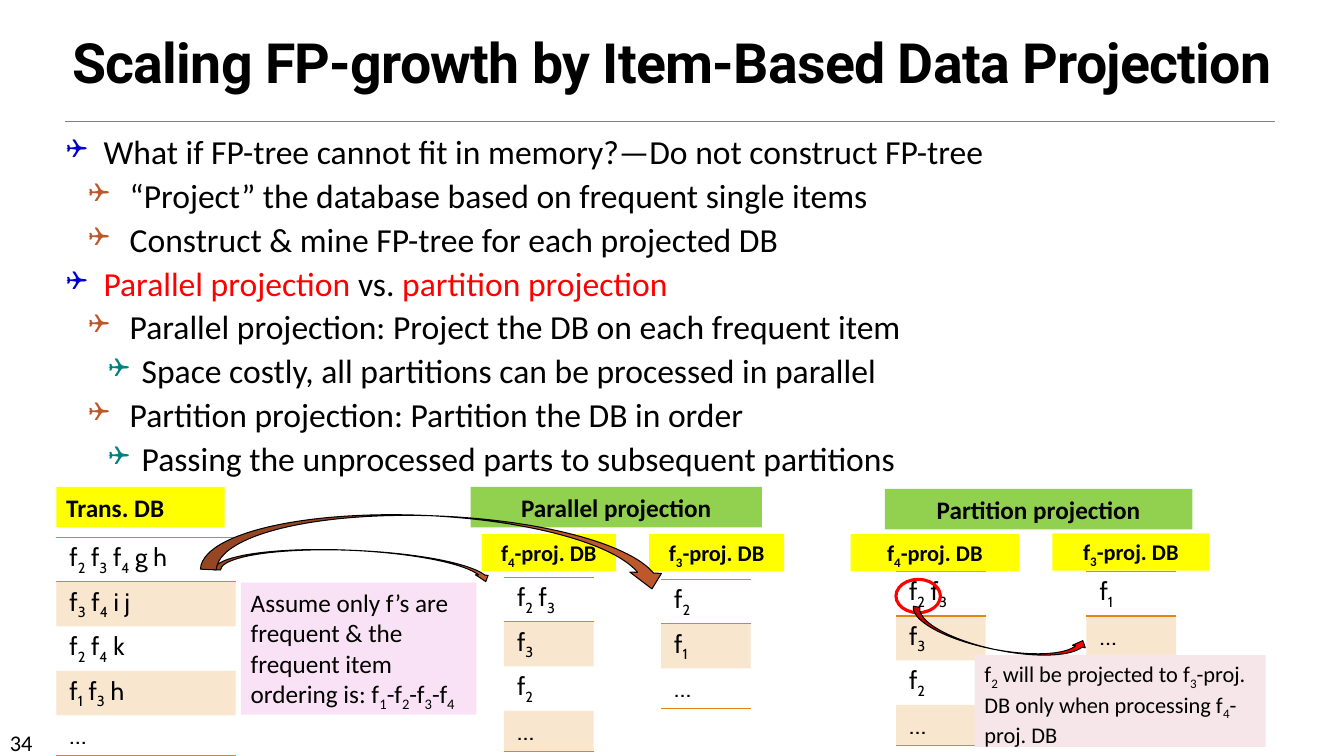
from lxml.etree import SubElement
from pptx import Presentation
from pptx.dml.color import RGBColor
from pptx.enum.shapes import MSO_CONNECTOR, MSO_SHAPE
from pptx.enum.text import MSO_ANCHOR as ANCHOR, MSO_AUTO_SIZE as AUTOSIZE, PP_ALIGN as ALIGN
from pptx.oxml.ns import qn
from pptx.util import Cm, Pt

BLACK = RGBColor(0, 0, 0)
RED = RGBColor(0xFF, 0, 0)
GREY = RGBColor(0x80, 0x80, 0x80)
YELLOW = RGBColor(0xFF, 0xFF, 0)
GREEN = RGBColor(0x92, 0xD0, 0x50)
PINK = RGBColor(0xFA, 0xE2, 0xF6)
ROSE = RGBColor(0xF6, 0xE6, 0xEA)
ORANGE = RGBColor(0xE4, 0x83, 0x12)
RUST = RGBColor(0xBD, 0x58, 0x2C)
BLUE = RGBColor(0, 0, 0xCC)
TEAL = RGBColor(0, 0x80, 0x80)

TITLE = "Scaling FP-growth by Item-Based Data Projection"
PAGE = "34"
# Markup: _x sets x as a subscript, *words* are red.
POINTS = [
    (0, "What if FP-tree cannot fit in memory?—Do not construct FP-tree"),
    (1, "“Project” the database based on frequent single items"),
    (1, "Construct & mine FP-tree for each projected DB"),
    (0, "*Parallel projection *vs. *partition projection*"),
    (1, "Parallel projection: Project the DB on each frequent item"),
    (2, "Space costly, all partitions can be processed in parallel"),
    (1, "Partition projection: Partition the DB in order"),
    (2, "Passing the unprocessed parts to subsequent partitions"),
]
LEVELS = [(0.94, 0.94, BLUE), (1.6, 1.04, RUST), (1.9, 0.84, TEAL)]

F4_ROWS = ["f_2 f_3", "f_3", "f_2", "…"]
DATABASES = [
    (1.42, 13.54, 4.52, ["f_2 f_3 f_4 g h", "f_3 f_4 i j", "f_2 f_4 k", "f_1 f_3 h", "…"]),
    (12.7, 14.55, 2.26, F4_ROWS),
    (16.66, 14.6, 2.26, ["f_2", "f_1", "…"]),
    (22.58, 14.4, 2.26, F4_ROWS),
    (27.38, 14.4, 2.26, ["f_1", "…"]),
]
ROW_HEIGHT = 1.02

HEADING = dict(size=18, bold=True)
SUBHEADING = dict(size=16, bold=True, align=ALIGN.CENTER)
F4_LABEL, F3_LABEL = "f_4-proj. DB", "f_3-proj. DB"
LABELS = [
    ("Trans. DB", (1.42, 12.27, 4.24, 1.02), YELLOW, HEADING),
    ("Parallel projection", (11.86, 12.27, 7.34, 1.02), GREEN, HEADING | {"align": ALIGN.CENTER}),
    ("Partition projection", (22.3, 12.32, 7.75, 1.02), GREEN, HEADING | {"align": ALIGN.CENTER}),
    (F4_LABEL, (12.14, 13.46, 3.38, 0.94), YELLOW, SUBHEADING),
    (F3_LABEL, (16.36, 13.46, 3.4, 0.94), YELLOW, SUBHEADING),
    (F4_LABEL, (21.44, 13.46, 4.24, 0.94), YELLOW, SUBHEADING),
    (F3_LABEL, (26.52, 13.44, 3.96, 0.94), YELLOW, SUBHEADING),
    ("Assume only f’s are frequent & the frequent item ordering is: f_1-f_2-f_3-f_4",
     (6.07, 14.68, 5.94, 3.33), PINK, dict(size=18)),
    ("f_2 will be projected to f_3-proj. DB only when processing f_4-proj. DB",
     (24.56, 16.51, 7.34, 2.31), ROSE, dict(size=16)),
]
CIRCLED_ITEM = (22.58, 14.6, 1.12, 0.84)
ARROWS = [
    (MSO_SHAPE.CURVED_UP_ARROW, (22.91, 15.72, 4.52, 0.66), 11.5, RED),
    (MSO_SHAPE.CURVED_DOWN_ARROW, (5.41, 13.87, 7.01, 0.64), 2.5, RUST),
    (MSO_SHAPE.CURVED_DOWN_ARROW, (5.08, 13, 11.79, 1.6), 2.5, RUST),
]


def cm(box):
    return [Cm(length) for length in box]


def write(paragraph, text, *, size, font="Calibri", bold=False, align=ALIGN.LEFT, spacing=None):
    paragraph.alignment = align
    for index, phrase in enumerate(text.split("*")):
        plain, *subscripted = phrase.split("_")
        pieces = [(plain, False)]
        for part in subscripted:
            pieces += [(part[0], True), (part[1:], False)]
        for words, lowered in pieces:
            if not words:
                continue
            run = paragraph.add_run()
            run.text = words
            run.font.name, run.font.size, run.font.bold = font, Pt(size), bold
            run.font.color.rgb = RED if index % 2 else BLACK
            properties = run._r.get_or_add_rPr()
            if lowered:
                properties.set("baseline", "-25000")
            if spacing:
                properties.set("spc", str(spacing))


def add_bullet(paragraph, level):
    margin, hanging, color = LEVELS[level]
    paragraph.level = level
    properties = paragraph._p.get_or_add_pPr()
    properties.set("marL", str(Cm(margin)))
    properties.set("indent", str(-Cm(hanging)))
    SubElement(SubElement(properties, qn("a:buClr")), qn("a:srgbClr"), val=str(color))
    SubElement(properties, qn("a:buSzPct"), val="80000")
    SubElement(properties, qn("a:buFont"), typeface="Wingdings")
    SubElement(properties, qn("a:buChar"), char="❑")


def add_figure(slide, kind, box, fill=None, line=None, width=0.75):
    figure = slide.shapes.add_shape(kind, *cm(box))
    figure.shadow.inherit = False
    for part, color in ((figure.fill, fill), (figure.line.fill, line)):
        if color is None:
            part.background()
        else:
            part.solid()
            part.fore_color.rgb = color
    if line is not None:
        figure.line.width = Pt(width)
    return figure


def set_borders(cell, ruled):
    properties = cell._tc.get_or_add_tcPr()
    for position, side in enumerate("LRTB"):
        border = SubElement(properties, qn(f"a:ln{side}"), w=str(Pt(1)))
        properties.insert(position, border)
        if side in ruled:
            SubElement(SubElement(border, qn("a:solidFill")), qn("a:srgbClr"), val=str(ORANGE))
        else:
            SubElement(border, qn("a:noFill"))


def add_database(slide, left, top, width, rows):
    box = cm((left, top, width, ROW_HEIGHT * len(rows)))
    database = slide.shapes.add_table(len(rows), 1, *box).table
    database.first_row = database.horz_banding = False
    for index, items in enumerate(rows):
        cell = database.cell(index, 0)
        cell.margin_left = cell.margin_right = Cm(0.33)
        write(cell.text_frame.paragraphs[0], items, size=18, font="Cabin")
        if index % 2:
            cell.fill.solid()
            cell.fill.fore_color.rgb = ORANGE
            tint = cell._tc.tcPr.find(".//" + qn("a:srgbClr"))
            SubElement(tint, qn("a:alpha"), val="20000")
        else:
            cell.fill.background()
        ruled = "TB" if index == 0 else "T" if index == 1 else ""
        set_borders(cell, ruled + ("B" if index == len(rows) - 1 else ""))


def main():
    """Build the slide on scaling FP-growth by data projection."""
    deck = Presentation()
    deck.slide_width, deck.slide_height = Cm(33.87), Cm(19.05)
    slide = deck.slides.add_slide(deck.slide_layouts[5])

    title = slide.shapes.title
    title.left, title.top, title.width, title.height = cm((0, 0.84, 33.87, 1.68))
    title.text_frame.auto_size = AUTOSIZE.NONE
    title.text_frame.vertical_anchor = ANCHOR.MIDDLE
    heading = title.text_frame.paragraphs[0]
    heading.line_spacing = 0.85
    write(heading, TITLE, size=39.6, font="Roboto", bold=True, align=ALIGN.CENTER, spacing=-50)

    rule = slide.shapes.add_connector(MSO_CONNECTOR.STRAIGHT, *cm((1.65, 3.05, 32.13, 3.05)))
    rule.line.color.rgb, rule.line.width = GREY, Pt(0.5)
    SubElement(rule._element.spPr, qn("a:effectLst"))

    page = slide.shapes.add_textbox(*cm((0, 18.24, 2.97, 0.76))).text_frame
    page.word_wrap = True
    write(page.paragraphs[0], PAGE, size=16)

    points = slide.shapes.add_textbox(*cm((1.42, 3.18, 31.9, 9.09))).text_frame
    points.word_wrap = True
    for index, (level, text) in enumerate(POINTS):
        paragraph = points.add_paragraph() if index else points.paragraphs[0]
        add_bullet(paragraph, level)
        if index:
            paragraph.space_before = Pt(2.5)
        write(paragraph, text, size=24)

    for database in DATABASES:
        add_database(slide, *database)
    for text, box, fill, style in LABELS:
        frame = add_figure(slide, MSO_SHAPE.RECTANGLE, box, fill).text_frame
        frame.word_wrap, frame.vertical_anchor = True, ANCHOR.TOP
        write(frame.paragraphs[0], text, **style)
    add_figure(slide, MSO_SHAPE.OVAL, CIRCLED_ITEM, line=RED, width=2.25)
    for kind, box, angle, fill in ARROWS:
        add_figure(slide, kind, box, fill, BLACK).rotation = angle
    deck.save("out.pptx")


if __name__ == "__main__":
    main()
